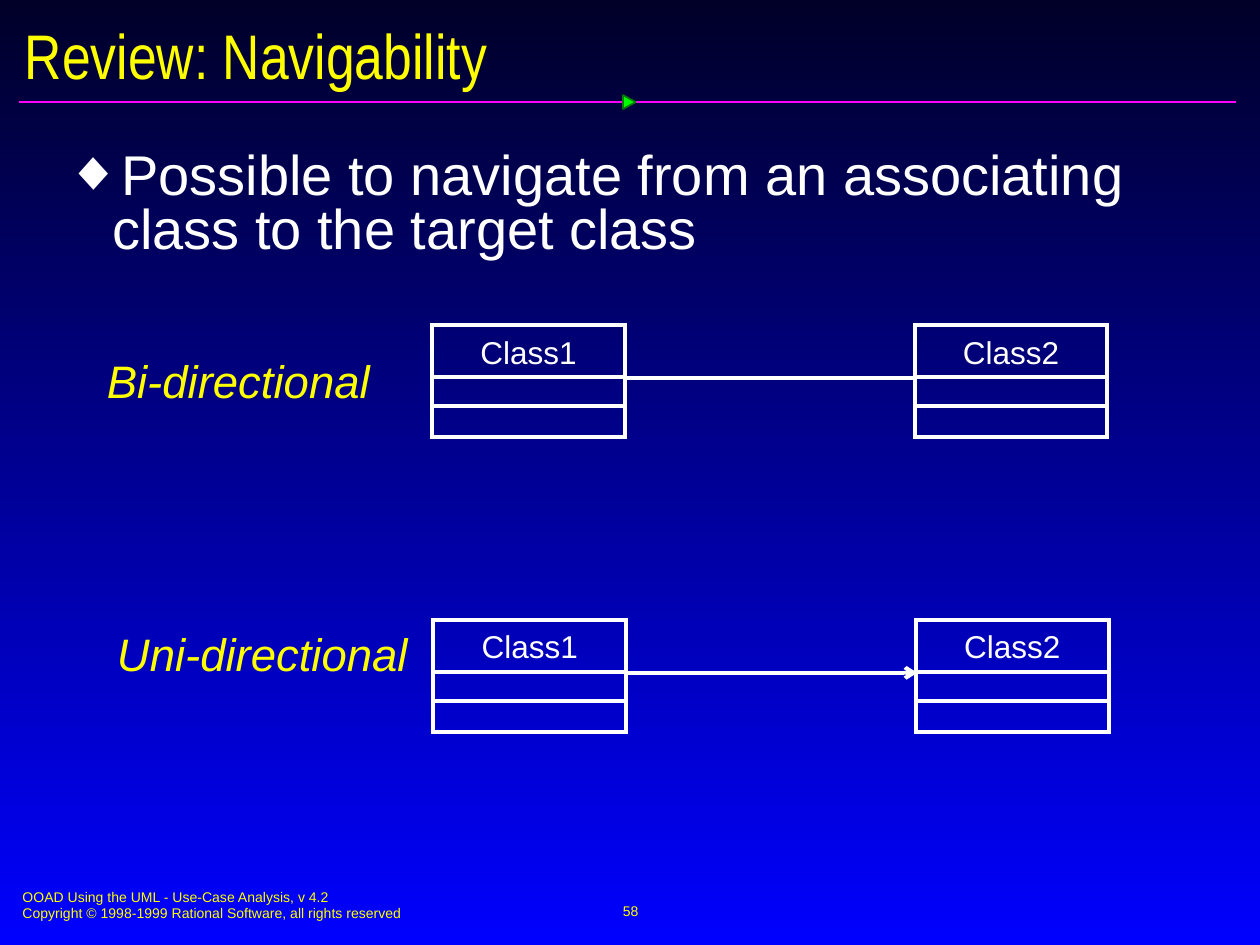
from dataclasses import dataclass

from lxml.etree import SubElement
from pptx import Presentation
from pptx.dml.color import RGBColor
from pptx.enum.shapes import MSO_CONNECTOR, MSO_SHAPE
from pptx.enum.text import MSO_ANCHOR, PP_ALIGN
from pptx.oxml.ns import qn
from pptx.util import Inches, Pt

TITLE = "Review: Navigability"
STATEMENT = "Possible to navigate from an associating class to the target class"
BULLET = "◆"
CLASSES = ["Class1", "Class2"]
# label, label left, label top, diagram left, diagram top, directed
ASSOCIATIONS = [
    ("Bi-directional", 0.75, 2.75, 3.43, 2.58, False),
    ("Uni-directional", 0.83, 4.92, 3.44, 4.92, True),
]
FOOTER = [
    "OOAD Using the UML - Use-Case Analysis, v 4.2",
    "Copyright © 1998-1999 Rational Software, all rights reserved",
]
PAGE_NUMBER = "58"


@dataclass(frozen=True)
class Theme:
    sky: str = "000028"
    ground: str = "0000FF"
    accent: str = "FFFF00"
    ink: str = "FFFFFF"
    rule: str = "FF01FF"
    marker: str = "00FF00"
    marker_edge: str = "037C03"
    body_font: str = "Arial"
    title_font: str = "Arial Narrow"
    title: int = 36
    statement: int = 32
    label: int = 26
    class_name: int = 18
    small: int = 8
    stroke: float = 2.25
    hairline: float = 1


THEME = Theme()
SLIDE_W, SLIDE_H = 10, 7.5
CLASS_W, CLASS_H = 1.53, 0.89
CLASS_PITCH = 3.83
DIVIDERS = (0.41, 0.64)
NAME_TOP, NAME_H = 0.06, 0.3
HANGING = 0.37


def rgb(code):
    return RGBColor.from_string(code)


def add_text(slide, lines, box, size, color=THEME.accent, font=THEME.body_font,
             italic=False, align=PP_ALIGN.LEFT, anchor=MSO_ANCHOR.TOP,
             insets=(0.1, 0.05)):
    frame = slide.shapes.add_textbox(*map(Inches, box)).text_frame
    frame.word_wrap = True
    frame.vertical_anchor = anchor
    frame.margin_left = frame.margin_right = Inches(insets[0])
    frame.margin_top = frame.margin_bottom = Inches(insets[1])
    frame.text = "\n".join(lines)
    for paragraph in frame.paragraphs:
        paragraph.alignment = align
        for run in paragraph.runs:
            run.font.name = font
            run.font.size = Pt(size)
            run.font.italic = italic
            run.font.color.rgb = rgb(color)
    return frame


def add_line(slide, start, end, color=THEME.ink, width=THEME.stroke, arrow=False):
    connector = slide.shapes.add_connector(
        MSO_CONNECTOR.STRAIGHT, *map(Inches, (*start, *end)))
    connector.line.color.rgb = rgb(color)
    connector.line.width = Pt(width)
    if arrow:
        SubElement(connector.line._get_or_add_ln(), qn("a:tailEnd"), type="arrow")
    SubElement(connector._element.spPr, qn("a:effectLst"))


def add_class(slide, name, left, top):
    outline = slide.shapes.add_shape(
        MSO_SHAPE.RECTANGLE, *map(Inches, (left, top, CLASS_W, CLASS_H)))
    outline.shadow.inherit = False
    outline.fill.background()
    outline.line.color.rgb = rgb(THEME.ink)
    outline.line.width = Pt(THEME.stroke)
    SubElement(outline.line._get_or_add_ln(), qn("a:miter"), lim="800000")
    for offset in DIVIDERS:
        add_line(slide, (left, top + offset), (left + CLASS_W, top + offset))
    add_text(slide, [name], (left, top + NAME_TOP, CLASS_W, NAME_H),
             THEME.class_name, THEME.ink, align=PP_ALIGN.CENTER, insets=(0, 0))


def add_association(slide, label, label_left, label_top, left, top, directed):
    add_text(slide, [label], (label_left, label_top, 3, 0.54), THEME.label, italic=True)
    link_y = top + DIVIDERS[0] + 0.01
    add_line(slide, (left + CLASS_W, link_y), (left + CLASS_PITCH + 0.01, link_y),
             arrow=directed)
    for column, name in enumerate(CLASSES):
        add_class(slide, name, left + column * CLASS_PITCH, top)


def add_frame(slide):
    """Background, title rule with its marker, footer and page number."""
    fill = slide.background.fill
    fill.gradient()
    fill.gradient_angle = 270
    for stop, color in zip(fill.gradient_stops, (THEME.sky, THEME.ground)):
        stop.color.rgb = rgb(color)

    add_line(slide, (0.15, 0.81), (9.81, 0.81), THEME.rule, THEME.hairline)
    marker = slide.shapes.add_shape(
        MSO_SHAPE.ISOSCELES_TRIANGLE, *map(Inches, (4.94, 0.76, 0.11, 0.1)))
    marker.rotation = 90
    marker.shadow.inherit = False
    marker.fill.solid()
    marker.fill.fore_color.rgb = rgb(THEME.marker)
    marker.line.color.rgb = rgb(THEME.marker_edge)
    marker.line.width = Pt(THEME.hairline)

    add_text(slide, FOOTER, (0.08, 7, 5.1, 0.37), THEME.small)
    add_text(slide, [PAGE_NUMBER], (3.42, 6.98, 3.17, 0.5), THEME.small,
             align=PP_ALIGN.CENTER, anchor=MSO_ANCHOR.MIDDLE)


def add_statement(slide):
    frame = add_text(slide, [STATEMENT], (0.4, 1.15, 9.29, 5.52), THEME.statement,
                     THEME.ink, insets=(0.12, 0.06))
    paragraph = frame.paragraphs[0]
    paragraph.line_spacing = 0.8
    properties = paragraph._p.get_or_add_pPr()
    properties.set("marL", str(Inches(HANGING)))
    properties.set("indent", str(-Inches(HANGING)))
    bullet_color = SubElement(properties, qn("a:buClr"))
    SubElement(bullet_color, qn("a:srgbClr"), val=THEME.ink)
    SubElement(properties, qn("a:buFont"), typeface=THEME.body_font)
    SubElement(properties, qn("a:buChar"), char=BULLET)


def main():
    presentation = Presentation()
    presentation.slide_width = Inches(SLIDE_W)
    presentation.slide_height = Inches(SLIDE_H)
    slide = presentation.slides.add_slide(presentation.slide_layouts[6])
    add_frame(slide)
    for association in ASSOCIATIONS:
        add_association(slide, *association)
    add_text(slide, [TITLE], (0.1, 0.14, 9.84, 0.58), THEME.title,
             font=THEME.title_font, anchor=MSO_ANCHOR.MIDDLE)
    add_statement(slide)
    presentation.save("out.pptx")


if __name__ == "__main__":
    main()
